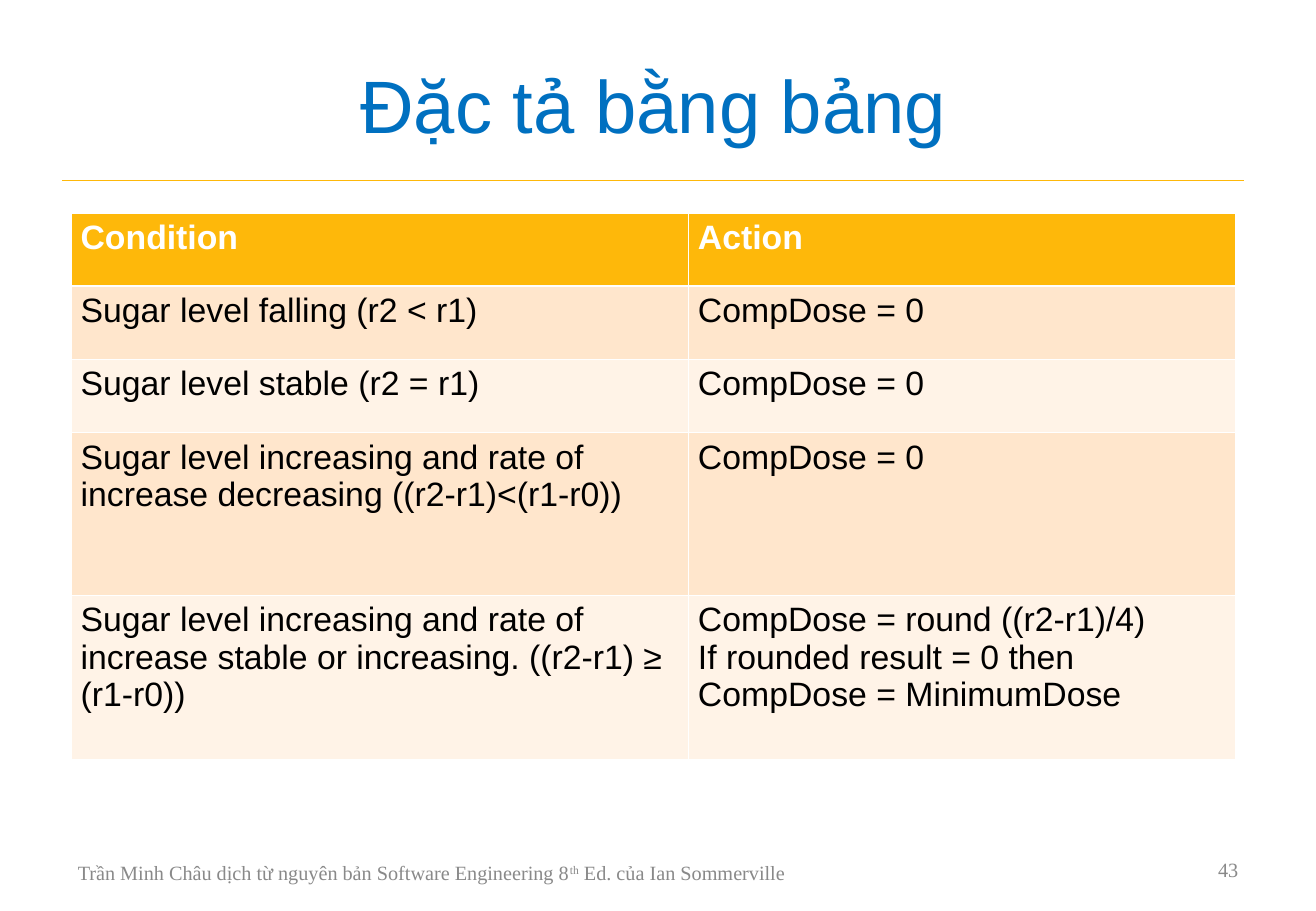
from pptx import Presentation
from pptx.dml.color import RGBColor
from pptx.enum.shapes import MSO_CONNECTOR
from pptx.enum.text import MSO_ANCHOR, PP_ALIGN
from pptx.oxml import parse_xml
from pptx.oxml.ns import nsdecls
from pptx.util import Pt
from lxml.etree import SubElement

COLORS = {
    "title": "0070C0", "gold": "FEB80A", "footer": "898989",
    "dark_band": "FFE6CC", "light_band": "FFF3E7",
    "white": "FFFFFF", "black": "000000",
}


def format_runs(paragraph, size, font, color, bold=False):
    for run in paragraph.runs:
        run.font.size = Pt(size)
        run.font.name = font
        run.font.bold = bold
        run.font.color.rgb = RGBColor.from_string(COLORS[color])


def add_footer(slide, left, top, width, height, parts, align):
    shape = slide.shapes.add_textbox(Pt(left), Pt(top), Pt(width), Pt(height))
    text_frame = shape.text_frame
    text_frame.word_wrap = True
    text_frame.vertical_anchor = MSO_ANCHOR.MIDDLE
    paragraph = text_frame.paragraphs[0]
    paragraph.alignment = align
    for part in parts:
        paragraph.add_run().text = part
    format_runs(paragraph, 12, "Times New Roman", "footer")
    return paragraph


presentation = Presentation()
presentation.slide_width = Pt(780.12)
presentation.slide_height = Pt(540)
slide = presentation.slides.add_slide(presentation.slide_layouts[5])

# Title
title = slide.shapes.title
title.left, title.top, title.width, title.height = Pt(36.5), Pt(16.5), Pt(702), Pt(90)
title.text_frame.text = "Đặc tả bằng bảng"
title.text_frame.vertical_anchor = MSO_ANCHOR.MIDDLE
title_paragraph = title.text_frame.paragraphs[0]
title_paragraph.alignment = PP_ALIGN.CENTER
format_runs(title_paragraph, 44, "Arial", "title")

# Rule under the title
rule = slide.shapes.add_connector(
    MSO_CONNECTOR.STRAIGHT, Pt(36.8), Pt(106.8), Pt(737.6), Pt(106.8))
rule.line.color.rgb = RGBColor.from_string(COLORS["gold"])
rule.line.width = Pt(0.75)
SubElement(rule.element.spPr,
           "{http://schemas.openxmlformats.org/drawingml/2006/main}effectLst")

# Condition and action table
ROWS = [
    ("Condition", "Action"),
    ("Sugar level falling (r2 < r1)", "CompDose = 0"),
    ("Sugar level stable (r2 = r1)", "CompDose = 0"),
    ("Sugar level increasing and rate of increase decreasing ((r2-r1)<(r1-r0))",
     "CompDose = 0"),
    ("Sugar level increasing and rate of increase stable or increasing. "
     "((r2-r1) ≥ (r1-r0))",
     "CompDose = round ((r2-r1)/4)\nIf rounded result = 0 then\n"
     "CompDose = MinimumDose"),
]
COLUMN_WIDTHS = [366, 324]
ROW_HEIGHTS = [43.4, 43.4, 43.4, 96.3, 97.5]

table = slide.shapes.add_table(
    len(ROWS), len(COLUMN_WIDTHS), Pt(42.3), Pt(126.2),
    Pt(sum(COLUMN_WIDTHS)), Pt(sum(ROW_HEIGHTS))).table
table.horz_banding = False
for column, width in zip(table.columns, COLUMN_WIDTHS):
    column.width = Pt(width)

for row_index, (texts, height) in enumerate(zip(ROWS, ROW_HEIGHTS)):
    table.rows[row_index].height = Pt(height)
    header = row_index == 0
    band = "gold" if header else "dark_band" if row_index % 2 else "light_band"
    for column_index, text in enumerate(texts):
        cell = table.cell(row_index, column_index)
        cell.margin_left = cell.margin_right = Pt(5.5)
        cell.margin_top = cell.margin_bottom = Pt(3.6)

        # White borders, thicker between the header and the body
        cell_properties = cell._tc.get_or_add_tcPr()
        for side in "LRTB":
            thick = (row_index, side) in [(0, "B"), (1, "T")]
            cell_properties.append(parse_xml(
                f'<a:ln{side} {nsdecls("a")} w="{Pt(1.47 if thick else 0.45)}">'
                f'<a:solidFill><a:srgbClr val="{COLORS["white"]}"/></a:solidFill>'
                f'</a:ln{side}>'))
        cell.fill.solid()
        cell.fill.fore_color.rgb = RGBColor.from_string(COLORS[band])

        cell.text_frame.text = text
        for paragraph in cell.text_frame.paragraphs:
            format_runs(paragraph, 20, "Arial",
                        "white" if header else "black", header)
table.cell(2, 0).text_frame.paragraphs[0].alignment = PP_ALIGN.JUSTIFY

# Footer and page number
credit = add_footer(
    slide, 39, 504.4, 476.6, 25.2,
    ["Trần Minh Châu dịch từ nguyên bản Software Engineering 8", "th",
     " Ed. của Ian Sommerville"], PP_ALIGN.LEFT)
credit.runs[1].font._element.set("baseline", "30000")
add_footer(slide, 559, 500.8, 182.2, 28.8, ["43"], PP_ALIGN.RIGHT)

presentation.save("out.pptx")
